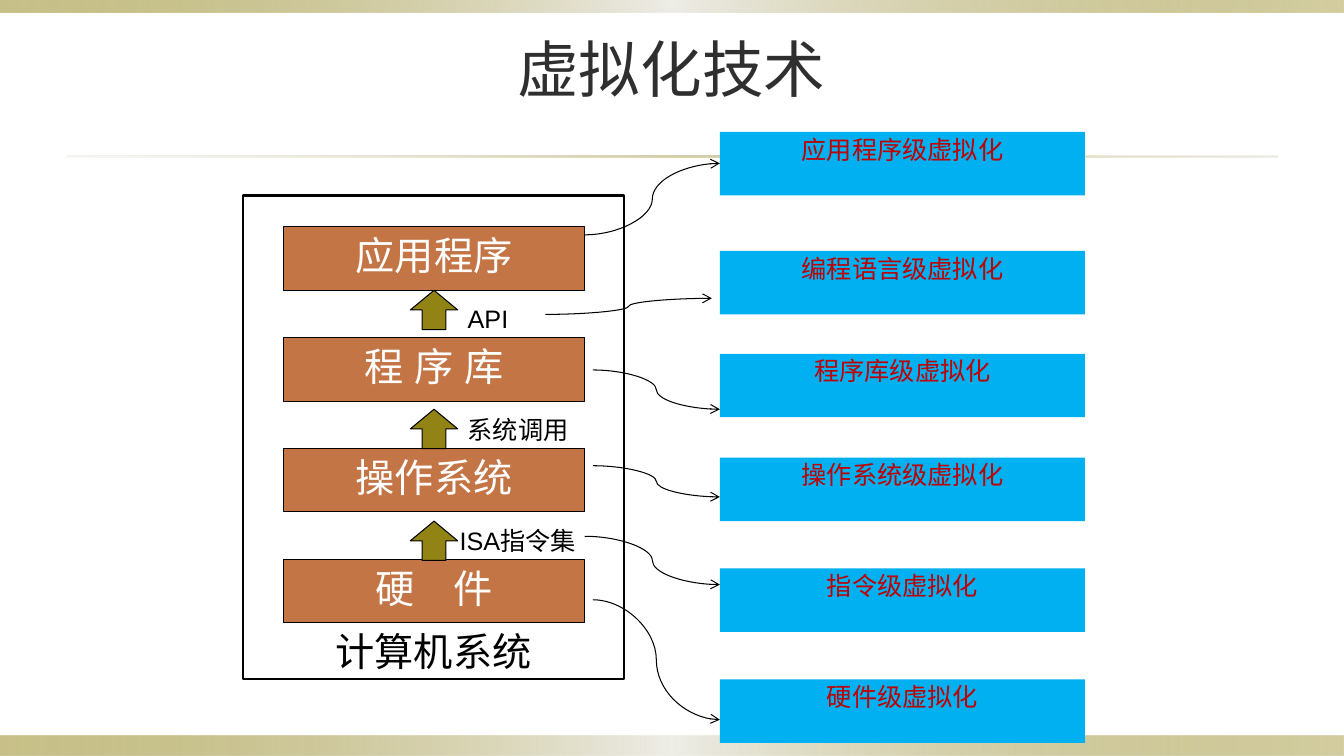
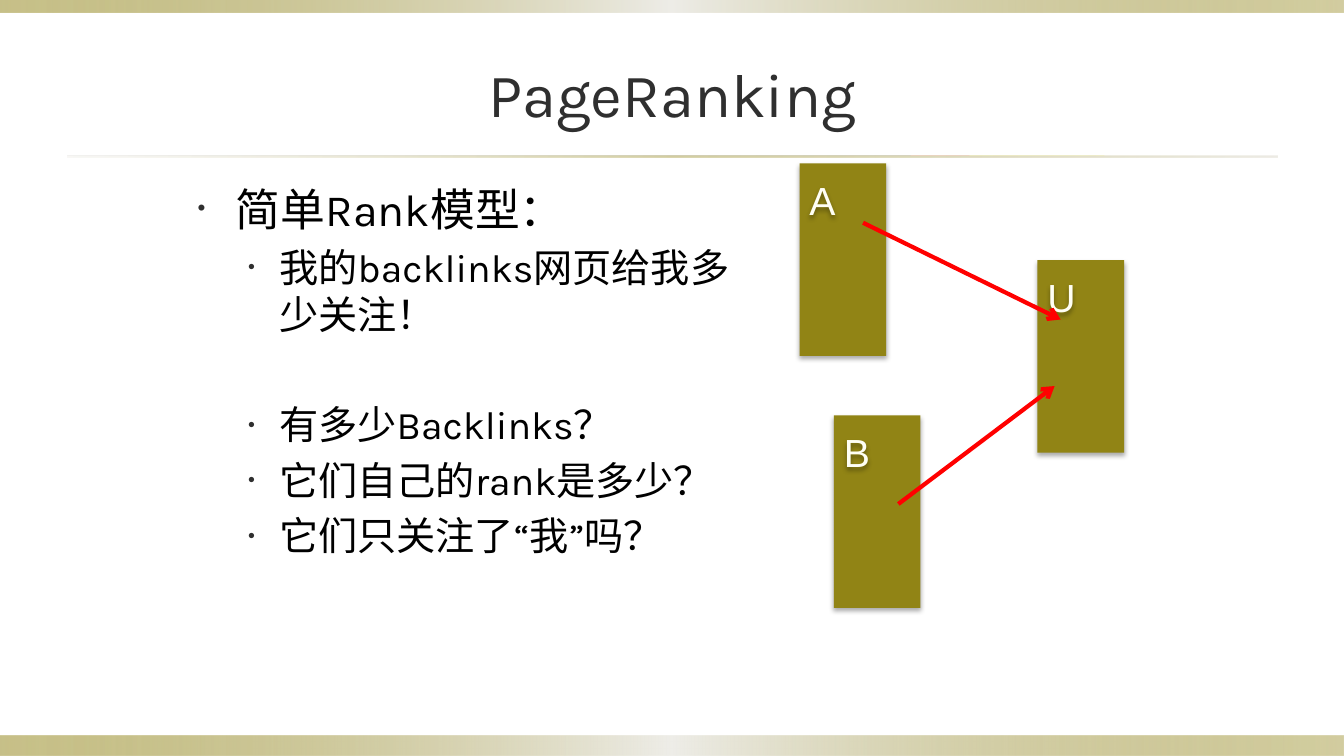
import pptx
import pptx.util
from lxml import etree
from pptx.dml.color import RGBColor
from pptx.enum.shapes import MSO_CONNECTOR, MSO_SHAPE
from pptx.enum.text import MSO_ANCHOR, MSO_AUTO_SIZE, PP_ALIGN
from pptx.oxml.ns import qn
from pptx.util import Inches, Pt

COLORS = {"olive": "918415", "pale": "EEEDE8", "sand": "DCD9CC", "title": "2F2F2F",
          "black": "000000", "white": "FFFFFF", "ivory": "FFFFF4", "brown": "C47546",
          "cyan": "00B0F0", "crimson": "C00000", "red": "FF0000"}
LATIN, CJK, THEME = "Arial", "Noto Sans CJK SC", "Karla"

# Gradient stops: position %, colour, opacity %
BAND = [(0, "olive", 50), (50, "pale", 100), (100, "olive", 40)]
RULE = [(0, "sand", 20), (50, "olive", 40), (100, "sand", 50)]
DECOR = [((0, 7.3, 13.33, 0.2), BAND), ((0, 0, 13.33, 0.12), BAND),
         ((0.67, 1.54, 12, 0.02), RULE)]

# Slide 1
LAYERS = ["应用程序", "程 序 库", "操作系统", "硬　件"]
LAYER_TOP, LAYER_PITCH = 2.25, 1.1
INTERFACES = [("API", 4.54, 2.96, 2.88), ("系统调用", 4.54, 4.06, 4.06),
              ("ISA指令集", 4.46, 5.16, 5.17)]  # label, left, top, arrow top
LEVELS = [("应用程序级虚拟化", 1.31), ("编程语言级虚拟化", 2.49), ("程序库级虚拟化", 3.51),
          ("操作系统级虚拟化", 4.54), ("指令级虚拟化", 5.64), ("硬件级虚拟化", 6.74)]
CURVES = [(5.8, 2.33, 7.14, 1.62), (5.41, 3.12, 7.06, 2.96), (5.88, 3.67, 7.14, 4.06),
          (5.88, 4.62, 7.14, 4.93), (5.8, 5.32, 7.14, 5.8), (5.88, 5.95, 7.14, 7.14)]

# Slide 2: text, level, space before
BULLETS = [("简单Rank模型：", 0, 6), ("我的backlinks网页给我多少关注！", 1, 6),
           ("有多少Backlinks？", 1, 45), ("它们自己的rank是多少？", 1, 6),
           ("它们只关注了“我”吗？", 1, 6)]
BULLET_STYLE = [(32, 0.38, -0.38), (28, 0.81, -0.31)]  # size, left margin, indent
PAGES = [("A", 7.93, 1.62), ("B", 8.27, 4.12), ("U", 10.29, 2.58)]
LINKS = [(8.56, 2.21, 10.52, 3.17), (8.91, 5, 10.46, 3.83)]


def rgb(name):
    return RGBColor.from_string(COLORS[name])


def sub(parent, tag, **attrs):
    return etree.SubElement(parent, qn(tag), {k: str(v) for k, v in attrs.items()})


def place(sp, box):
    sp.left, sp.top, sp.width, sp.height = (Inches(v) for v in box)


def style_text(p, size, font, color, align=None):
    p.alignment = align
    for r in p.runs:
        r.font.size, r.font.name = Pt(size), font
        r.font.color.rgb = rgb(color)
        r.font._element.get_or_add_latin().addnext(
            r.font._element.makeelement(qn("a:ea"), {"typeface": font}))


def add_box(s, box, fill, line=None, kind=MSO_SHAPE.RECTANGLE):
    sp = s.shapes.add_shape(kind, *(Inches(v) for v in box))
    sp.shadow.inherit = False
    sp.fill.solid()
    sp.fill.fore_color.rgb = rgb(fill)
    if line:
        sp.line.color.rgb = rgb("black")
        sp.line.width = Pt(line)
    else:
        sp.line.fill.background()
    return sp


def write(sp, text, size, font, color, anchor=MSO_ANCHOR.TOP, align=PP_ALIGN.CENTER):
    tf = sp.text_frame
    tf.word_wrap = True
    tf.vertical_anchor = anchor
    tf.text = text
    style_text(tf.paragraphs[0], size, font, color, align)


def add_label(s, box, text, size, color):
    sp = s.shapes.add_textbox(*(Inches(v) for v in box))
    write(sp, text, size, LATIN, color, align=PP_ALIGN.LEFT)
    return sp


def set_gradient(sp, stops):
    """Replace the fill with a horizontal gradient of translucent stops."""
    sp.fill.gradient()
    sp.fill.gradient_angle = 0
    gs_list = sp._element.spPr.find(qn("a:gradFill")).find(qn("a:gsLst"))
    for gs in list(gs_list):
        gs_list.remove(gs)
    for pos, color, opacity in stops:
        clr = sub(sub(gs_list, "a:gs", pos=pos * 1000), "a:srgbClr", val=COLORS[color])
        sub(clr, "a:alpha", val=opacity * 1000)


def add_shadow(sp):
    spPr = sp._element.spPr
    effects = spPr.find(qn("a:effectLst"))
    if effects is None:
        effects = sub(spPr, "a:effectLst")
    shadow = sub(effects, "a:outerShdw", blurRad=Pt(3.5), dist=Pt(2.2), dir=5400000,
                 rotWithShape=0)
    sub(sub(shadow, "a:srgbClr", val=COLORS["black"]), "a:alpha", val=32000)


def add_arrow(s, kind, ends, color, width):
    c = s.shapes.add_connector(kind, *(Inches(v) for v in ends))
    c.line.color.rgb = rgb(color)
    c.line.width = Pt(width)
    sub(c.line._get_or_add_ln(), "a:tailEnd", type="arrow")
    sub(c._element.spPr, "a:effectLst")


def add_slide(prs, layout, title, title_box):
    s = prs.slides.add_slide(prs.slide_layouts[layout])
    for box, stops in DECOR:
        set_gradient(add_box(s, box, "olive"), stops)
    place(s.shapes.title, title_box)
    write(s.shapes.title, title, 44, THEME, "title", MSO_ANCHOR.MIDDLE)
    return s


def build_virtualization(prs):
    s = add_slide(prs, 5, "虚拟化技术", (2.41, 0.21, 8.5, 0.92))
    system = add_box(s, (2.41, 1.94, 3.78, 4.8), "white", 1.5)
    write(system, "计算机系统", 28, CJK, "black", MSO_ANCHOR.BOTTOM)
    for i, name in enumerate(LAYERS):
        layer = add_box(s, (2.81, LAYER_TOP + i * LAYER_PITCH, 2.99, 0.63), "brown", 0.75)
        write(layer, name, 28, LATIN, "white")
    for name, left, top, arrow_top in INTERFACES:
        add_box(s, (4.07, arrow_top, 0.47, 0.39), "olive", 0.75, MSO_SHAPE.UP_ARROW)
        add_label(s, (left, top, 1.65, 0.4), name, 18, "black")
    for name, top in LEVELS:
        level = add_box(s, (7.14, top, 3.62, 0.63), "cyan")
        write(level, name, 18, CJK, "crimson")
        level.text_frame.margin_top = Inches(0.02)
    for ends in CURVES:
        add_arrow(s, MSO_CONNECTOR.CURVE, ends, "black", 0.75)


def add_bullets(body):
    tf = body.text_frame
    tf.word_wrap = True
    tf.auto_size = MSO_AUTO_SIZE.NONE
    for i, (text, level, before) in enumerate(BULLETS):
        p = tf.add_paragraph() if i else tf.paragraphs[0]
        p.text = text
        p.level = level
        p.space_before = Pt(before)
        size, margin, indent = BULLET_STYLE[level]
        style_text(p, size, THEME, "black")
        pPr = p._p.get_or_add_pPr()
        pPr.set("marL", str(Inches(margin)))
        pPr.set("indent", str(Inches(indent)))
        sub(sub(pPr, "a:buClr"), "a:srgbClr", val=COLORS["title"])
        sub(pPr, "a:buSzPct", val=50000)
        sub(pPr, "a:buFont", typeface=LATIN)
        sub(pPr, "a:buChar", char="•")


def build_ranking(prs):
    s = add_slide(prs, 1, "PageRanking", (0.67, 0.3, 12, 1.25))
    body = s.placeholders[1]
    place(body, (1.86, 1.75, 5.83, 4.05))
    add_bullets(body)
    for name, left, top in PAGES:
        add_shadow(add_box(s, (left, top, 0.86, 1.91), "olive"))
        add_shadow(add_label(s, (left, top + 0.08, 0.49, 0.57), name, 28, "ivory"))
    for ends in LINKS:
        add_arrow(s, MSO_CONNECTOR.STRAIGHT, ends, "red", 3)


def main():
    prs = pptx.Presentation()
    prs.slide_width, prs.slide_height = Inches(13.33), Inches(7.5)
    build_virtualization(prs)
    build_ranking(prs)
    prs.save("out.pptx")


if __name__ == "__main__":
    main()
